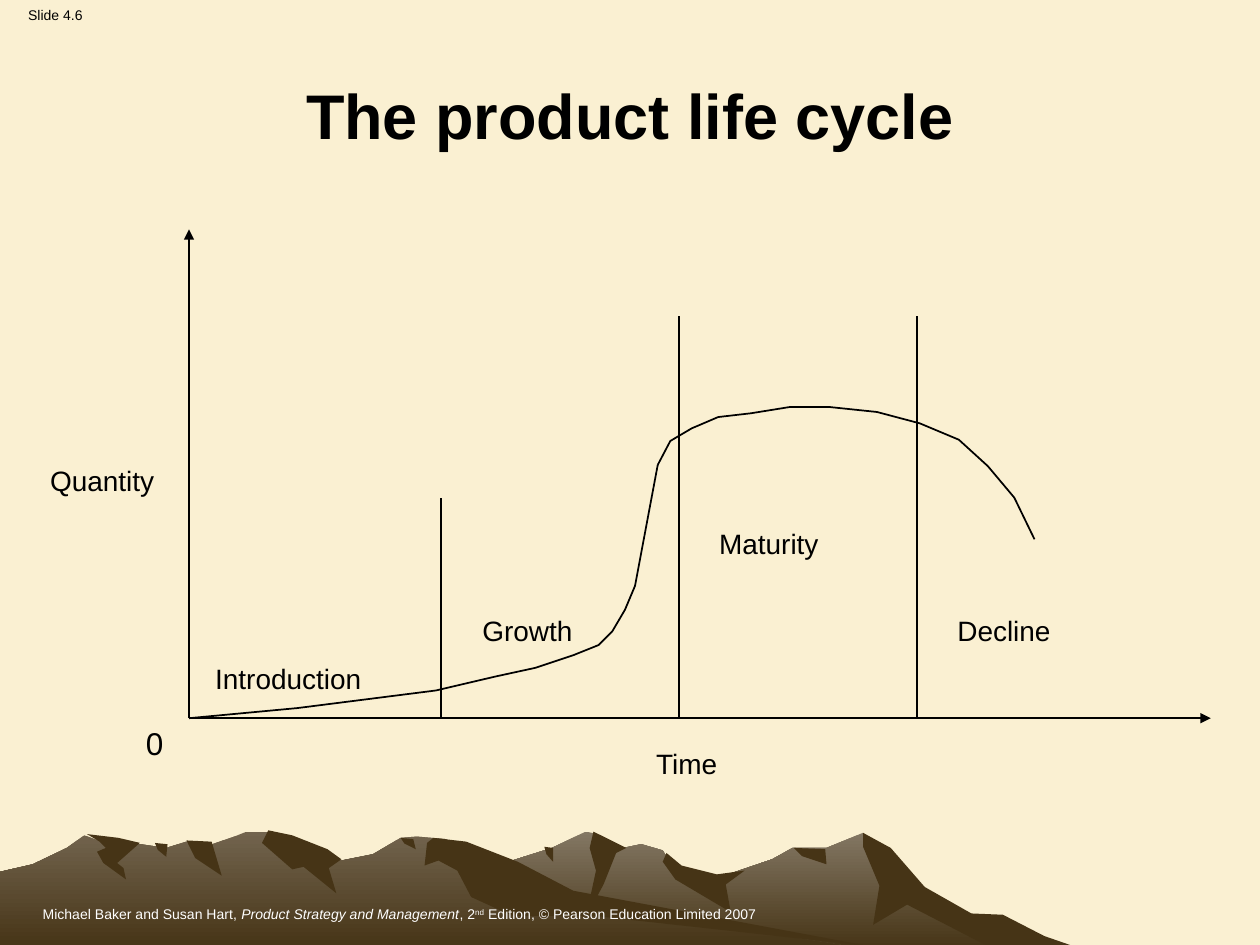
from collections import namedtuple
from itertools import accumulate

from lxml import etree
from pptx import Presentation, util as u
from pptx.dml.color import RGBColor
from pptx.enum import shapes, text
from pptx.oxml import ns

COLS, ROWS = 1000, 750
CELL = u.Inches(10) / COLS
INK, PAPER, EARTH, WHITE = "000000", "FAF0D2", "463416", "FFFFFF"
GROUND = 103

Massif = namedtuple("Massif", "light left right ridge faces gullies")
Gully = namedtuple("Gully", "x y width slant depth")
Stage = namedtuple("Stage", "name width divider indent label_rise label_width")

EAST = Massif(
    light="837763", left=258, right=821,
    ridge=[(327, 61), (394, 37), (438, 23), (465, 10), (474, 12), (485, 25), (509, 20), (526, 25),
           (536, 41), (566, 48), (613, 32), (629, 23), (656, 23), (685, 11), (701, 23), (723, 49),
           (763, 75), (778, 78)],
    faces={
        "summit": [(685, 11), (707, 23), (734, 54), (771, 75), (796, 76), (829, 93), (858, 103),
                   (788, 103), (720, 68), (693, 84), (698, 53), (685, 22)],
        "rib": [(471, 10), (497, 23), (489, 27), (479, 52), (465, 78), (473, 41), (468, 23)],
        "saddle": [(529, 27), (541, 37), (569, 44), (591, 41), (576, 52), (580, 74), (536, 48),
                   (526, 34)],
    },
    gullies=[Gully(630, 23, 25, 26, 13), Gully(432, 22, 7, 7, 12)])

WEST = Massif(
    light="72644E", left=0, right=690,
    ridge=[(0, 42), (26, 36), (53, 23), (67, 13), (94, 23), (111, 20), (132, 23), (148, 18),
           (160, 23), (186, 14), (196, 10), (212, 10), (223, 14), (235, 32), (271, 33), (296, 28),
           (318, 15), (331, 14), (354, 16), (432, 64), (667, 100)],
    faces={
        "crest": [(213, 9), (232, 13), (260, 24), (271, 32), (261, 39), (267, 59), (241, 38),
                  (232, 40), (208, 19)],
        "spur": [(344, 15), (370, 18), (411, 34), (455, 57), (690, 101), (472, 77), (407, 77),
                 (374, 62), (363, 41), (348, 33), (337, 37), (339, 19)],
        "shoulder": [(69, 12), (94, 15), (111, 19), (93, 35), (98, 39), (100, 48), (82, 35),
                     (77, 26), (84, 23), (79, 18)],
    },
    gullies=[Gully(318, 15, 10, 12, 9), Gully(148, 17, 20, 28, 28), Gully(123, 19, 10, 9, 11)])

STAGES = [
    Stage("Introduction", 200, 175, 11, 50, 189),
    Stage("Growth", 189, 319, 23, 88, 122),
    Stage("Maturity", 189, 319, 22, 157, 133),
    Stage("Decline", 189, 0, 22, 88, 121),
]
TAKE_OFF = [(0, 0), (86, 8), (196, 22), (243, 33), (275, 40), (305, 50), (325, 58), (336, 69),
            (346, 86), (354, 105), (372, 201)]
PLATEAU = [TAKE_OFF[-1], (382, 220), (399, 230), (420, 239), (446, 242), (477, 247), (508, 247),
           (546, 243), (580, 234), (611, 221), (634, 200), (655, 175), (671, 142)]


def color(hex_text):
    """Return the colour for a hex string."""
    return RGBColor.from_string(hex_text)


def cells(*values):
    """Convert grid cells to lengths."""
    return [u.Emu(int(v * CELL)) for v in values]


def add_text(s, box, content, size=16, fill=INK, bold=None, align="LEFT", anchor="TOP", wrap=True):
    """Add a text box whose content is a string or a list of (text, style) runs."""
    tf = s.shapes.add_textbox(*cells(*box)).text_frame
    tf.word_wrap = wrap
    tf.vertical_anchor = getattr(text.MSO_ANCHOR, anchor)
    p = tf.paragraphs[0]
    p.alignment = getattr(text.PP_ALIGN, align)
    for words, style in [(content, "")] if isinstance(content, str) else content:
        r = p.add_run()
        r.text = words
        r.font.name, r.font.size, r.font.bold = "Arial", u.Pt(size), bold
        r.font.color.rgb = color(fill)
        if style == "italic":
            r.font.italic = True
        if style == "super":
            r.font._element.set("baseline", "30000")


def add_outline(s, points, close):
    """Add a freeform through points given in grid cells."""
    start, *rest = [cells(*point) for point in points]
    builder = s.shapes.build_freeform(*start)
    builder.add_line_segments(rest, close=close)
    sp = builder.convert_to_shape()
    sp.shadow.inherit = False
    return sp


def add_land(s, box, points, top_fill=EARTH):
    """Add a closed piece of land, shaded down to earth if its top is lighter."""
    sp = add_outline(s, [(box[0] + x, box[1] + y) for x, y in points], True)
    sp.line.fill.background()
    if top_fill == EARTH:
        sp.fill.solid()
        sp.fill.fore_color.rgb = color(EARTH)
        return
    sp.fill.gradient()
    sp.fill.gradient_angle = 270
    for position, (stop, shade) in enumerate(zip(sp.fill.gradient_stops, (top_fill, EARTH))):
        stop.color.rgb = color(shade)
        stop.position = position


def set_ink(line):
    """Give a line the diagram's colour and weight."""
    line.color.rgb = color(INK)
    line.width = u.Pt(1)


def add_line(s, start, end, arrow=False):
    """Add a straight line, with an arrowhead at its end if asked."""
    sp = s.shapes.add_connector(shapes.MSO_CONNECTOR.STRAIGHT, *cells(*start, *end))
    set_ink(sp.line)
    etree.SubElement(sp._element.spPr, ns.qn("a:effectLst"))
    if arrow:
        etree.SubElement(sp.line._get_or_add_ln(), ns.qn("a:tailEnd"), type="triangle")


def gully_points(g):
    """Return a crest edge, the slanted tip below it and the bend on its left."""
    return [(g.x, g.y), (g.x + g.width, g.y + 1), (g.x + g.slant, g.y + g.depth),
            (g.x + g.slant / 4, g.y + g.depth / 2)]


def draw_massif(s, box, massif):
    """Close the ridge down to the ground, then lay its dark faces and gullies over it."""
    feet = [(massif.right, GROUND), (massif.left, GROUND)]
    add_land(s, box, massif.ridge + feet, massif.light)
    for face in [*massif.faces.values(), *map(gully_points, massif.gullies)]:
        add_land(s, box, face)


def draw_furniture(s, box):
    """Place the slide number and the source line at the edges of the box."""
    x, y, w, h = box
    add_text(s, (x + 24, y + h - 36, w - 55, 21), [
        ("Michael Baker and Susan Hart, ", ""), ("Product Strategy and Management", "italic"),
        (", 2", ""), ("nd", "super"), (" Edition, © Pearson Education Limited 2007", "")],
        size=8, fill=WHITE)
    add_text(s, (x, y, 88, 24), "Slide 4.6", size=8, align="CENTER", wrap=False)


def draw_axes(s, box):
    """Draw the two axes from the box's lower left corner, with their labels."""
    left, top, w, h = box
    base = top + h
    for end in [(left, top), (left + w, base)]:
        add_line(s, (left, base), end, arrow=True)
    add_text(s, (left - 120, base - 207, 150, 37), "Quantity")
    add_text(s, (left - 44, base, 44, 40), "0", size=18)
    add_text(s, (left + 273, base + 18, 244, 37), "Time", align="CENTER")


def draw_stages(s, box):
    """Label the stages side by side, with a divider at the end of all but the last."""
    left, top, _, h = box
    base = top + h
    ends = accumulate(stage.width for stage in STAGES)
    for stage, end in zip(STAGES, ends):
        x = left + end
        if stage.divider:
            add_line(s, (x, base), (x, base - stage.divider))
        label_left = x - stage.width + stage.indent
        add_text(s, (label_left, base - stage.label_rise, stage.label_width, 37), stage.name)


def draw_curve(s, box):
    """Draw quantity over time, measured from the origin at the box's lower left."""
    left, top, _, h = box
    for section in (TAKE_OFF, PLATEAU):
        sp = add_outline(s, [(left + time, top + h - qty) for time, qty in section], False)
        sp.fill.background()
        set_ink(sp.line)


def main():
    """Build and save the slide."""
    prs = Presentation()
    prs.slide_width, prs.slide_height = cells(COLS, ROWS)
    s = prs.slides.add_slide(prs.slide_layouts[6])
    s.background.fill.solid()
    s.background.fill.fore_color.rgb = color(PAPER)
    for massif in (EAST, WEST):
        draw_massif(s, (0, 650, COLS, 100), massif)
    draw_furniture(s, (0, 0, COLS, ROWS))
    add_text(s, (78, 56, 844, 69), "The product life cycle", size=36, bold=True,
             align="CENTER", anchor="MIDDLE")
    for draw in (draw_axes, draw_stages, draw_curve):
        draw(s, (150, 182, 811, 388))
    prs.save("out.pptx")


if __name__ == "__main__":
    main()
